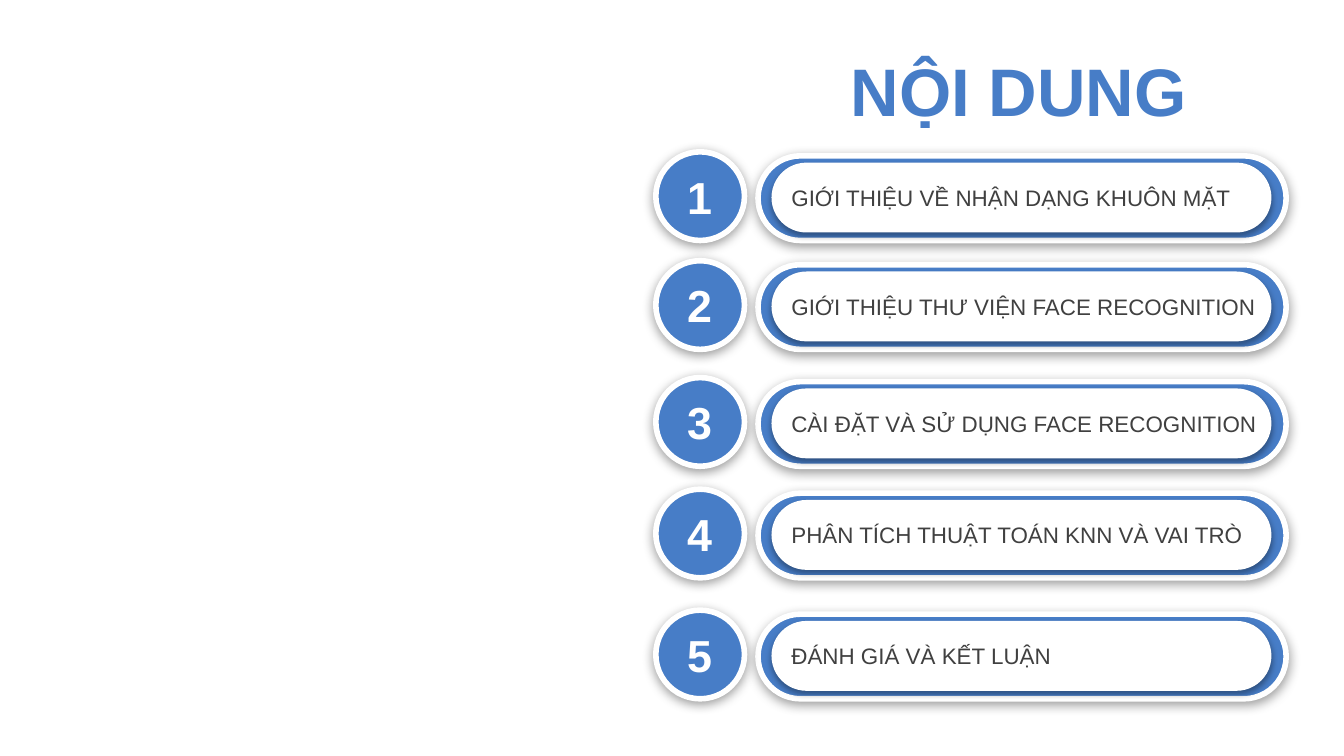
"""Build an agenda slide with five numbered topic bars."""
from lxml import etree
from pptx import Presentation
from pptx.dml.color import RGBColor
from pptx.enum.shapes import MSO_SHAPE
from pptx.enum.text import MSO_ANCHOR, MSO_AUTO_SIZE, PP_ALIGN
from pptx.oxml.ns import qn
from pptx.util import Inches, Pt

COLORS = {"blue": "477DC7", "white": "FFFFFF", "text": "404040", "shadow": "000000"}
FONT = "Arial"
TOPICS = [
    ("GIỚI THIỆU VỀ NHẬN DẠNG KHUÔN MẶT", 1.13, 3.51),
    ("GIỚI THIỆU THƯ VIỆN FACE RECOGNITION", 1.94, 3.7),
    ("CÀI ĐẶT VÀ SỬ DỤNG FACE RECOGNITION", 2.81, 3.7),
    ("PHÂN TÍCH THUẬT TOÁN KNN VÀ VAI TRÒ", 3.64, 3.6),
    ("ĐÁNH GIÁ VÀ KẾT LUẬN", 4.54, 2.15),
]


def color(name):
    return RGBColor.from_string(COLORS[name])


def write_text(frame, text, size, color_name, bold=False, alignment=PP_ALIGN.LEFT):
    frame.vertical_anchor = MSO_ANCHOR.MIDDLE
    paragraph = frame.paragraphs[0]
    paragraph.text = text
    paragraph.alignment = alignment
    font = paragraph.font
    font.name, font.size, font.bold = FONT, Pt(size), bold
    font.color.rgb = color(color_name)


def add_shadow(shape, opacity, blur, distance):
    shape.shadow.inherit = False
    effects = shape._element.spPr.find(qn("a:effectLst"))
    shadow = etree.SubElement(
        effects, qn("a:outerShdw"), blurRad=str(Pt(blur)), dist=str(Pt(distance)),
        dir="5400000", algn="t", rotWithShape="0")
    shade = etree.SubElement(shadow, qn("a:srgbClr"), val=COLORS["shadow"])
    etree.SubElement(shade, qn("a:alpha"), val=str(opacity * 1000))


def add_panel(shapes, kind, box, fill, outlined):
    shape = shapes.add_shape(kind, *map(Inches, box))
    shape.fill.solid()
    shape.fill.fore_color.rgb = color(fill)
    if kind == MSO_SHAPE.ROUNDED_RECTANGLE:
        shape.adjustments[0] = 0.5
    if outlined:
        shape.line.color.rgb = color("white")
        shape.line.width = Pt(3)
        add_shadow(shape, 38, 6, 1.6)
    else:
        shape.line.fill.background()
        add_shadow(shape, 35, 3.1, 1.8)


def add_label(slide, box, text, size, color_name, wrap, **style):
    frame = slide.shapes.add_textbox(*map(Inches, box)).text_frame
    frame.word_wrap = wrap
    frame.auto_size = MSO_AUTO_SIZE.SHAPE_TO_FIT_TEXT
    write_text(frame, text, size, color_name, **style)


def add_title(slide, text):
    title = slide.shapes.title
    title.left, title.top = Inches(6.23), Inches(0.35)
    title.width, title.height = Inches(2.76), Inches(0.63)
    write_text(title.text_frame, text, 36, "blue", bold=True)


def add_topic(slide, number, text, top, text_width):
    bar = slide.shapes.add_group_shape().shapes
    rounded = MSO_SHAPE.ROUNDED_RECTANGLE
    add_panel(bar, rounded, (5.64, top + 0.03, 3.93, 0.63), "blue", True)
    add_panel(bar, rounded, (5.74, top + 0.08, 3.72, 0.52), "white", False)
    add_label(slide, (5.79, top + 0.19, text_width, 0.3), text, 12, "text", False)
    add_panel(slide.shapes, MSO_SHAPE.OVAL, (4.88, top, 0.66, 0.66), "blue", True)
    add_label(slide, (4.98, top + 0.08, 0.45, 0.5), str(number), 24, "white", True,
              bold=True, alignment=PP_ALIGN.CENTER)


def main():
    presentation = Presentation()
    presentation.slide_width = Inches(10)
    presentation.slide_height = Inches(10) * 9 // 16
    slide = presentation.slides.add_slide(presentation.slide_layouts[5])
    add_title(slide, "NỘI DUNG")
    for number, topic in enumerate(TOPICS, start=1):
        add_topic(slide, number, *topic)
    presentation.save("out.pptx")


if __name__ == "__main__":
    main()
